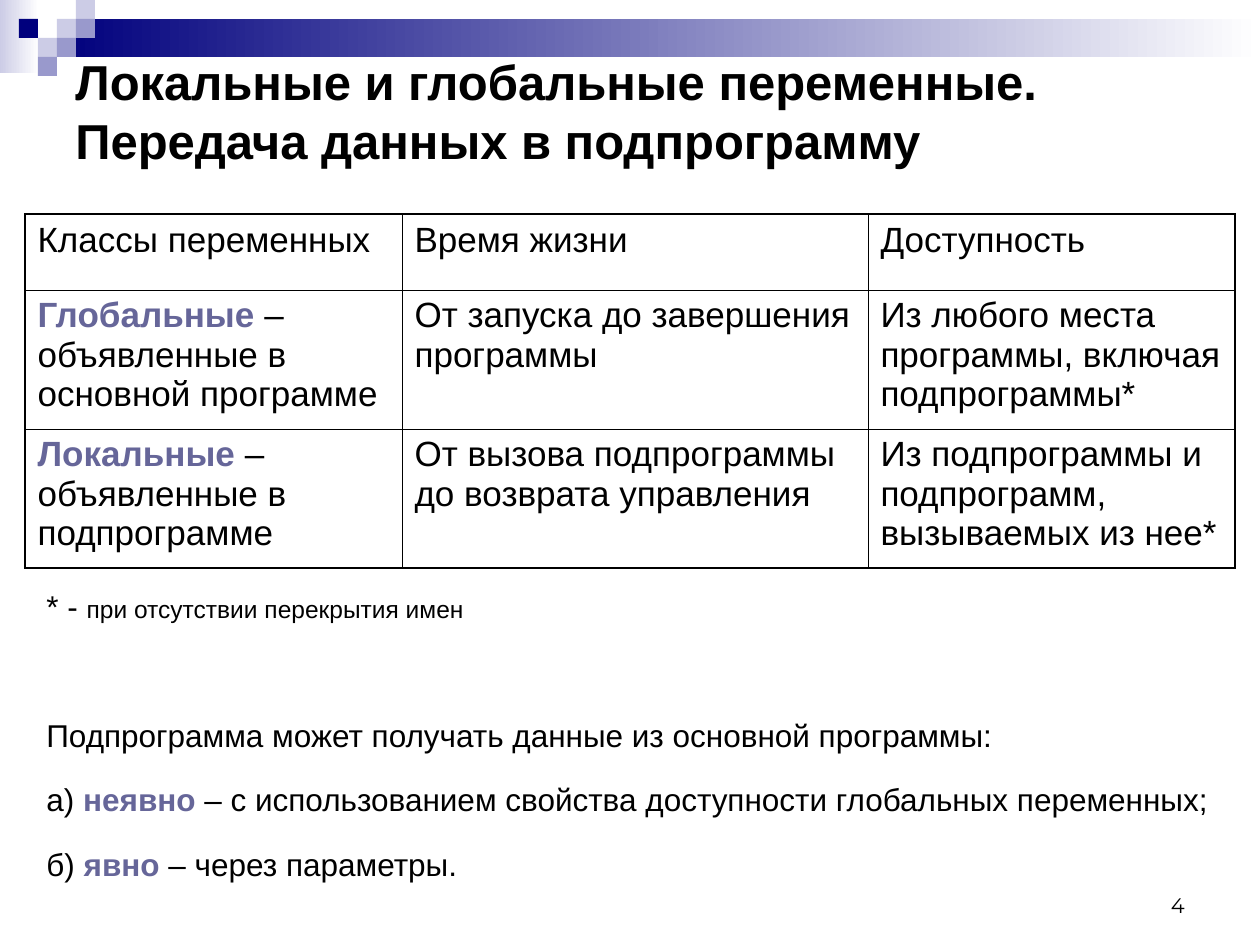
from dataclasses import dataclass

from lxml import etree
from pptx import Presentation, util as u
from pptx.dml.color import RGBColor
from pptx.enum import shapes, text
from pptx.oxml import ns


@dataclass(frozen=True)
class Theme:
    ink: str = "000000"
    accent: str = "666699"
    navy: str = "00007D"
    mid: str = "9999CC"
    pale: str = "CCCCE6"
    white: str = "FFFFFF"
    font: str = "Arial"
    num_font: str = "Montserrat"
    title: int = 28
    cell: int = 20
    body: int = 18
    note: int = 14
    num: int = 12
    outer: float = 1.08
    inner: float = 0.45


T = Theme()
KEY = {"color": T.accent, "bold": True}

TITLE = [("Локальные и глобальные переменные.\v"
          "Передача данных в подпрограмму", {"bold": True})]
TABLE = [
    [[("Классы переменных", {})], [("Время жизни", {})], [("Доступность", {})]],
    [[("Глобальные", KEY), (" – объявленные в основной программе", {})],
     [("От запуска до завершения программы", {})],
     [("Из любого места программы, включая подпрограммы*", {})]],
    [[("Локальные", KEY), (" – объявленные в подпрограмме", {})],
     [("От вызова подпрограммы до возврата управления", {})],
     [("Из подпрограммы и подпрограмм, вызываемых из нее*", {})]],
]
COLS, ROWS = (377, 466, 367), (76, 139, 139)
# runs, space before in points
BODY = [
    ([("* - ", {}), ("при отсутствии перекрытия имен", {"size": T.note})], 0),
    ([("Подпрограмма может получать данные из основной программы:", {})], 41),
    ([("а) ", {}), ("неявно", KEY),
      (" – с использованием свойства доступности глобальных переменных;", {})], 4.5),
    ([("б) ", {}), ("явно", KEY), (" – через параметры.", {})], 4.5),
]
NUMBER = [("4", {"name": T.num_font})]

BARS = [((0, 0, 39, 73), T.pale), ((57, 19, 1203, 38), T.navy)]
STEP = 19
# column, row, colour of each small square
TILES = [(3, 1, T.pale), (4, 0, T.pale), (4, 1, T.mid), (2, 2, T.pale),
         (1, 1, T.navy), (3, 2, T.mid), (2, 3, T.mid)]


def px(n):
    return u.Emu(round(n * 914400 / 126))


def place(*box):
    return [px(n) for n in box]


def apply(obj, vals):
    for key, val in vals.items():
        setattr(obj, key, val)


def write(para, runs, size):
    """Fill a paragraph with formatted runs; a vertical tab breaks the line."""
    for words, extra in runs:
        look = {"name": T.font, "size": size, "bold": False, "color": T.ink} | extra
        tint = RGBColor.from_string(look.pop("color"))
        look["size"] = u.Pt(look["size"])
        for i, part in enumerate(words.split("\v")):
            if i:
                para.add_line_break()
            run = para.add_run()
            run.text = part
            apply(run.font, look)
            run.font.color.rgb = tint


def add_text(slide, box, paras, size, anchor, **look):
    frame = slide.shapes.add_textbox(*place(*box)).text_frame
    apply(frame, {"word_wrap": True, "vertical_anchor": anchor})
    for i, (runs, gap) in enumerate(paras):
        para = frame.add_paragraph() if i else frame.paragraphs[0]
        apply(para, look | {"space_before": u.Pt(gap)})
        write(para, runs, size)
    return frame


def add_rect(slide, box, tint, fade=False):
    rect = slide.shapes.add_shape(shapes.MSO_SHAPE.RECTANGLE, *place(*box))
    rect.shadow.inherit = False
    rect.line.fill.background()
    if fade:
        rect.fill.gradient()
        rect.fill.gradient_angle = 0
        for stop, hue in zip(rect.fill.gradient_stops, (tint, T.white)):
            stop.color.rgb = RGBColor.from_string(hue)
    else:
        rect.fill.solid()
        rect.fill.fore_color.rgb = RGBColor.from_string(tint)


def add_edge(cell, side, width):
    props = cell._tc.get_or_add_tcPr()
    line = etree.SubElement(props, ns.qn(f"a:ln{side}"), w=str(u.Pt(width)))
    fill = etree.SubElement(line, ns.qn("a:solidFill"))
    etree.SubElement(fill, ns.qn("a:srgbClr"), val=T.ink)


def add_grid(slide, left, top):
    table = slide.shapes.add_table(
        len(ROWS), len(COLS), *place(left, top, sum(COLS), sum(ROWS))).table
    apply(table, {"first_row": False, "horz_banding": False})
    for col, width in zip(table.columns, COLS):
        col.width = px(width)
    for row, height in zip(table.rows, ROWS):
        row.height = px(height)
    for r, line in enumerate(TABLE):
        for c, runs in enumerate(line):
            cell = table.cell(r, c)
            rim = {"L": c == 0, "R": c == len(COLS) - 1,
                   "T": r == 0, "B": r == len(ROWS) - 1}
            for side, out in rim.items():
                add_edge(cell, side, T.outer if out else T.inner)
            cell.fill.background()
            write(cell.text_frame.paragraphs[0], runs, T.cell)


def main():
    deck = Presentation()
    apply(deck, {"slide_width": px(1260), "slide_height": px(945)})
    slide = deck.slides.add_slide(deck.slide_layouts[6])
    for box, tint in BARS:
        add_rect(slide, box, tint, fade=True)
    for col, row, tint in TILES:
        add_rect(slide, (col * STEP, row * STEP, STEP, STEP), tint)

    mid, top, low = (text.MSO_ANCHOR.MIDDLE, text.MSO_ANCHOR.TOP,
                     text.MSO_ANCHOR.BOTTOM)
    add_text(slide, (903, 861, 294, 63), [(NUMBER, 0)], T.num, low,
             alignment=text.PP_ALIGN.RIGHT)
    add_text(slide, (63, 66, 1163, 89), [(TITLE, 0)], T.title, mid)
    frame = add_text(slide, (34, 562, 1226, 348), BODY, T.body, top,
                     line_spacing=1.5)
    for para in frame.paragraphs:
        apply(para._p.get_or_add_pPr(), {"marL": px(48), "indent": px(-48)})
    add_grid(slide, 25, 214)
    deck.save("out.pptx")


if __name__ == "__main__":
    main()
